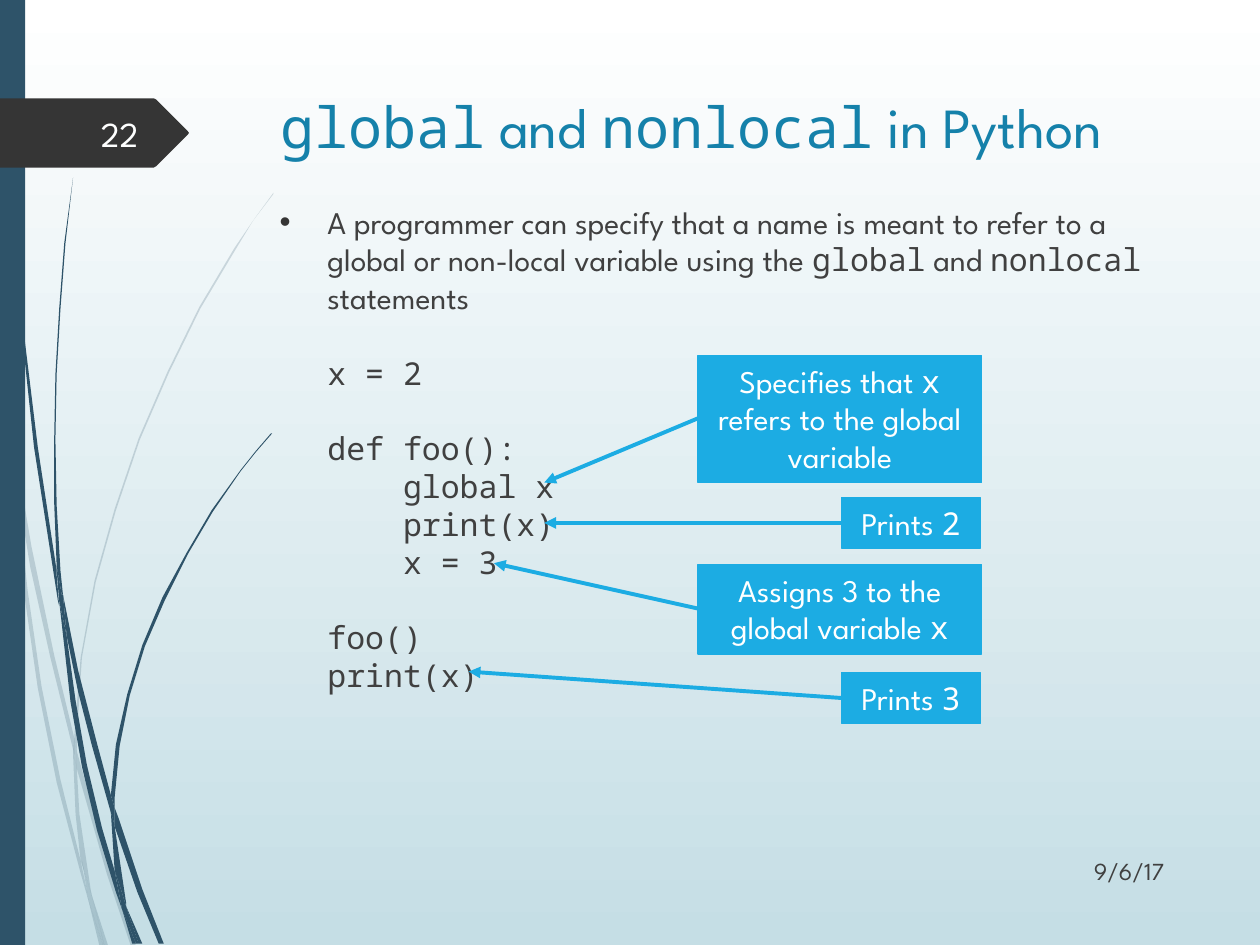
"""Build a slide about the global and nonlocal statements in Python."""
from copy import deepcopy
from dataclasses import dataclass

from lxml.etree import SubElement
from pptx import Presentation
from pptx.dml.color import RGBColor
from pptx.enum.shapes import MSO_CONNECTOR, MSO_SHAPE
from pptx.enum.text import MSO_ANCHOR, MSO_AUTO_SIZE, PP_ALIGN
from pptx.oxml.ns import qn
from pptx.util import Inches, Pt

COLORS = {
    "slate": "2E5369", "charcoal": "353535", "title": "1581AA", "body": "404040",
    "number": "FEFFFF", "accent": "1CACE3", "white": "FFFFFF", "mist": "C5DEE5",
}
TEXT_FONT = "League Spartan"
CODE_FONT = "Noto Sans Mono"
TITLE = "`global` and `nonlocal` in Python"
BODY = """A programmer can specify that a name is meant to refer to a global or \
non-local variable using the `global` and `nonlocal` statements

`x = 2

def foo():
    global x
    print(x)
    x = 3

foo()
print(x)`"""


@dataclass
class Callout:
    text: str
    left: float
    top: float
    width: float
    height: float
    start_y: float
    target: tuple[float, float]


@dataclass
class Label:
    text: str
    left: float
    top: float
    width: float
    size: float
    color: str


CALLOUTS = [
    Callout("Specifies that `x` refers to the global variable",
            5.54, 2.82, 2.25, 1.01, 3.32, (4.32, 3.83)),
    Callout("Assigns 3 to the global variable `x`",
            5.54, 4.48, 2.25, 0.71, 4.83, (3.92, 4.47)),
    Callout("Prints `2`", 6.68, 3.95, 1.1, 0.4, 4.15, (4.32, 4.15)),
    Callout("Prints `3`", 6.68, 5.34, 1.1, 0.4, 5.54, (3.72, 5.33)),
]
LABELS = [
    Label("9/6/17", 8.01, 6.71, 1.33, 14, "body"),
    Label("22", 0.56, 0.86, 0.64, 20, "number"),
]
PALE_WISPS = [
    "0.08,3.5 0.06,3.22 0,2.82 0,2.99 0.07,3.44",
    "0.4,5.22 0.59,5.99 0.59,5.86 0.43,5.2 0.25,4.34 0.1,3.45 0.12,3.76 0.24,4.5",
    "0.64,6.07 0.61,5.96 0.61,6.1 0.85,6.94 1.04,7.51 1.08,7.51 0.88,6.92",
    "0.83,7.51 0.86,7.51 0.73,7.11",
    "0.64,6.83 0.48,6.19 0.33,5.45 0.22,4.69 0.12,3.76 0.08,3.5 0.19,4.7 0.3,5.46 "
    "0.45,6.21 0.64,6.93 0.7,7.14 0.69,7.07",
    "0.58,5.99 0.6,6.46 0.64,6.83 0.67,6.92 0.73,7.11 0.72,7.06 0.63,6.46 0.61,6.1 0.61,6.08",
    "0.61,5.84 0.65,5.22 0.76,4.62 0.92,4.05 1.11,3.49 1.34,2.96 1.59,2.45 1.87,1.98 "
    "2.01,1.75 2.17,1.54 2.17,1.53 2.01,1.75 1.86,1.97 1.58,2.44 1.33,2.95 1.1,3.48 "
    "0.91,4.04 0.75,4.61 0.64,5.22 0.59,5.84 0.59,5.86 0.61,5.96",
    "0.7,7.14 0.79,7.51 0.82,7.51",
    "0.61,6.08 0.61,6.1 0.61,5.96 0.59,5.86 0.58,5.99",
    "0.67,6.92 0.65,6.83 0.69,7.07 0.7,7.14 0.82,7.51 0.83,7.51 0.73,7.11",
]
DARK_WISPS = [
    "0.05,1.1 0.14,2.33 0.27,3.55 0.46,4.77 0.47,4.81 0.45,4.57 0.45,4.53 0.3,3.55 "
    "0.15,2.32 0.06,1.09 0.04,0.48 0.03,0 0.02,0 0.03,0.48",
    "0.73,5.92 0.88,6.45 0.88,6.33 0.88,6.31 0.77,5.9 0.62,5.32 0.5,4.72 0.53,5.05 0.62,5.49",
    "0.94,6.49 0.91,6.41 0.91,6.56 1.09,7.08 1.26,7.49 1.3,7.49 1.13,7.06",
    "0.91,6.91 0.81,6.57 0.69,6.07 0.6,5.56 0.53,5.05 0.47,4.77 0.56,5.57 0.65,6.08 "
    "0.77,6.59 0.92,7.08 0.97,7.22 0.96,7.17",
    "0.5,4.72 0.48,4.53 0.45,4.01 0.44,3.49 0.45,2.97 0.48,2.45 0.52,1.93 0.58,1.41 "
    "0.51,1.93 0.47,2.45 0.44,2.97 0.43,3.49 0.43,3.99 0.45,4.49 0.49,4.72",
    "1.1,7.49 1.13,7.49 1,7.19",
    "0.47,4.77 0.53,5.05 0.5,4.72 0.49,4.72 0.45,4.49 0.45,4.53",
    "0.91,6.33 0.95,5.92 1.03,5.52 1.15,5.13 1.31,4.76 1.49,4.4 1.69,4.06 1.91,3.74 "
    "2.03,3.59 2.16,3.44 2.15,3.44 2.03,3.58 1.91,3.73 1.68,4.05 1.48,4.39 1.29,4.74 "
    "1.13,5.12 1.01,5.51 0.92,5.91 0.88,6.31 0.91,6.41",
    "0.97,7.22 1.05,7.49 1.08,7.49",
    "0.88,6.45 0.91,6.91 0.96,7.06 1,7.19 1,7.16 0.91,6.56 0.9,6.51",
    "0.88,6.45 0.9,6.51 0.91,6.56 0.91,6.41 0.88,6.31 0.88,6.33",
    "0.96,7.06 0.91,6.91 0.96,7.17 0.97,7.22 1.08,7.49 1.1,7.49 1,7.19",
]
NUMBER_TAG = ("0,0.78 1.22,0.78 1.24,0.79 1.49,1.04 1.5,1.055 1.49,1.07 "
              "1.24,1.32 1.22,1.33 0,1.33")


def rgb(name: str) -> RGBColor:
    """Return the named colour."""
    return RGBColor.from_string(COLORS[name])


def fill_shape(shape, color: str) -> None:
    """Give a shape a plain fill without outline or shadow."""
    shape.shadow.inherit = False
    shape.fill.solid()
    shape.fill.fore_color.rgb = rgb(color)
    shape.line.fill.background()


def draw_outline(slide, outline: str, color: str, opacity: int = 100) -> None:
    """Draw a filled outline from pairs of inches."""
    points = [tuple(Inches(float(value)) for value in pair.split(","))
              for pair in outline.split()]
    builder = slide.shapes.build_freeform(*points[0])
    builder.add_line_segments(points[1:], close=True)
    shape = builder.convert_to_shape()
    fill_shape(shape, color)
    if opacity < 100:
        color_element = shape._element.spPr.find(qn("a:solidFill"))[0]
        SubElement(color_element, qn("a:alpha"), val=str(opacity * 1000))


def write_text(paragraph, text: str, size: float, color: str) -> None:
    """Write text in which backticks mark code."""
    for index, part in enumerate(text.split("`")):
        for line_index, line in enumerate(part.split("\n")):
            if line_index:
                paragraph.add_line_break()
                paragraph._p[-1].append(deepcopy(run._r.rPr))
            if line:
                run = paragraph.add_run()
                run.text = line
                run.font.name = CODE_FONT if index % 2 else TEXT_FONT
                run.font.size = Pt(size)
                run.font.color.rgb = rgb(color)


def prepare_frame(shape, anchor=MSO_ANCHOR.TOP, alignment=PP_ALIGN.LEFT,
                  auto_size=MSO_AUTO_SIZE.NONE):
    """Set up the text frame of a shape and return its first paragraph."""
    frame = shape.text_frame
    frame.word_wrap = True
    frame.auto_size = auto_size
    frame.vertical_anchor = anchor
    frame.paragraphs[0].alignment = alignment
    return frame.paragraphs[0]


def draw_background(slide) -> None:
    """Draw the gradient, the wisps, the side bar and the number tag."""
    fill = slide.background.fill
    fill.gradient()
    fill.gradient_angle = 270
    for stop, position, color in zip(fill.gradient_stops, (0, 1), ("white", "mist")):
        stop.position = position
        stop.color.rgb = rgb(color)
    for wisp in PALE_WISPS:
        draw_outline(slide, wisp, "slate", 20)
    for wisp in DARK_WISPS:
        draw_outline(slide, wisp, "slate")
    bar = slide.shapes.add_shape(MSO_SHAPE.RECTANGLE, 0, 0, Inches(0.2), Inches(7.5))
    fill_shape(bar, "slate")
    draw_outline(slide, NUMBER_TAG, "charcoal")


def draw_title(slide) -> None:
    """Place and write the title."""
    title = slide.shapes.title
    title.left, title.top = Inches(2.13), Inches(0.68)
    title.width, title.height = Inches(7.21), Inches(0.75)
    write_text(prepare_frame(title), TITLE, 32.4, "title")


def draw_body(slide) -> None:
    """Write the bulleted statement and its code."""
    box = slide.shapes.add_textbox(Inches(2.12), Inches(1.56), Inches(7.21), Inches(5))
    paragraph = prepare_frame(box)
    properties = paragraph._p.get_or_add_pPr()
    properties.set("marL", str(Inches(0.38)))
    properties.set("indent", str(-Inches(0.38)))
    bullet_color = SubElement(properties, qn("a:buClr"))
    SubElement(bullet_color, qn("a:srgbClr"), val=COLORS["charcoal"])
    SubElement(properties, qn("a:buFont"), typeface="Arial")
    SubElement(properties, qn("a:buChar"), char="•")
    write_text(paragraph, BODY, 18, "body")


def draw_label(slide, label: Label) -> None:
    """Write a right-aligned label."""
    box = slide.shapes.add_textbox(Inches(label.left), Inches(label.top),
                                   Inches(label.width), Inches(0.4))
    paragraph = prepare_frame(box, MSO_ANCHOR.MIDDLE, PP_ALIGN.RIGHT)
    write_text(paragraph, label.text, label.size, label.color)


def draw_callout(slide, callout: Callout) -> None:
    """Draw a callout box and its arrow to the code."""
    box = slide.shapes.add_shape(MSO_SHAPE.RECTANGLE, Inches(callout.left), Inches(callout.top),
                                 Inches(callout.width), Inches(callout.height))
    fill_shape(box, "accent")
    box.line.color.rgb = rgb("accent")
    box.line.width = Pt(0.75)
    paragraph = prepare_frame(box, alignment=PP_ALIGN.CENTER,
                              auto_size=MSO_AUTO_SIZE.SHAPE_TO_FIT_TEXT)
    write_text(paragraph, callout.text, 18, "white")
    arrow = slide.shapes.add_connector(MSO_CONNECTOR.STRAIGHT, Inches(callout.left),
                                       Inches(callout.start_y), *map(Inches, callout.target))
    arrow.line.color.rgb = rgb("accent")
    arrow.line.width = Pt(2.25)
    SubElement(arrow.line._get_or_add_ln(), qn("a:tailEnd"), type="triangle")
    SubElement(arrow._element.spPr, qn("a:effectLst"))


def main() -> None:
    """Build and save the presentation."""
    presentation = Presentation()
    presentation.slide_width, presentation.slide_height = Inches(10), Inches(7.5)
    slide = presentation.slides.add_slide(presentation.slide_layouts.get_by_name("Title Only"))
    draw_background(slide)
    draw_title(slide)
    draw_body(slide)
    for label in LABELS:
        draw_label(slide, label)
    for callout in CALLOUTS:
        draw_callout(slide, callout)
    presentation.save("out.pptx")


if __name__ == "__main__":
    main()
